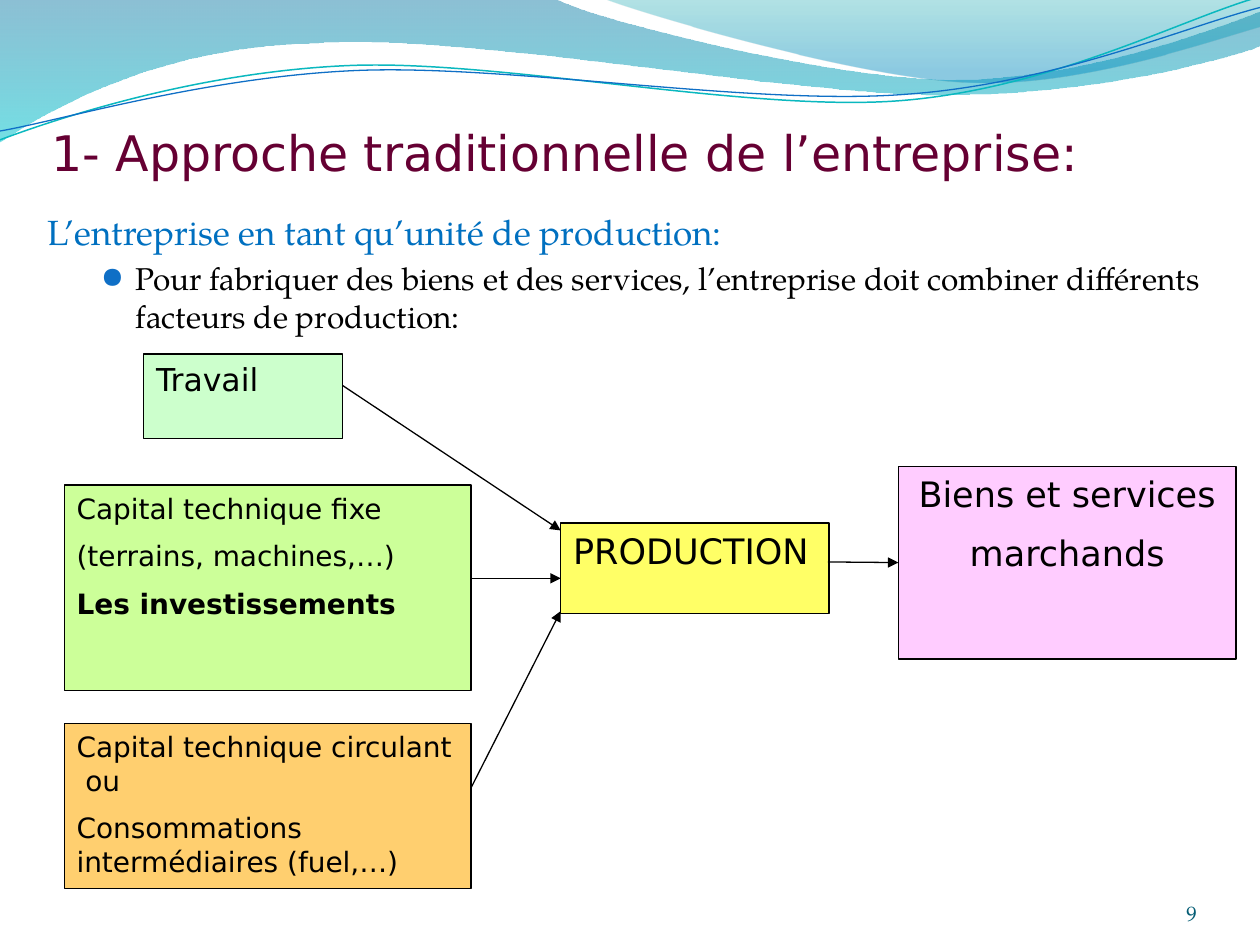
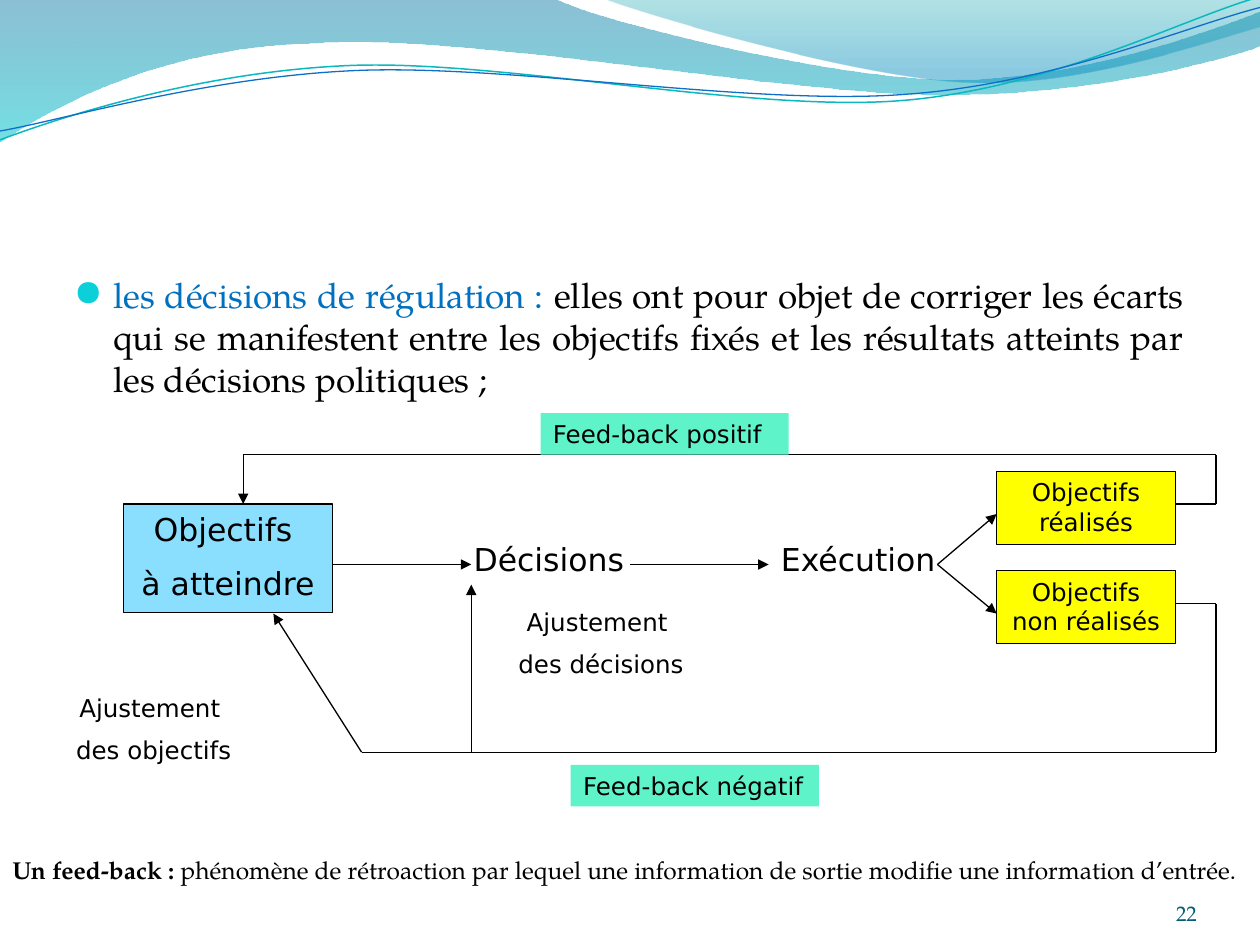
from itertools import pairwise
from math import cos, radians, sin

from lxml import etree
from pptx import Presentation
from pptx.dml.color import RGBColor
from pptx.enum.shapes import MSO_CONNECTOR, MSO_SHAPE
from pptx.enum.text import MSO_ANCHOR, PP_ALIGN
from pptx.oxml.ns import qn
from pptx.util import Inches, Pt

STRAIGHT = MSO_CONNECTOR.STRAIGHT
RECT = MSO_SHAPE.RECTANGLE
TOP, BOTTOM = MSO_ANCHOR.TOP, MSO_ANCHOR.BOTTOM
LEFT, CENTER = PP_ALIGN.LEFT, PP_ALIGN.CENTER
RIGHT, JUSTIFY = PP_ALIGN.RIGHT, PP_ALIGN.JUSTIFY

SANS, SERIF = "DejaVu Sans", "TeX Gyre Pagella"
BLACK, BLUE, PLUM, PAGE = "000000", "0070C0", "660033", "045D75"
MINT, YELLOW = "5FF3CA", "FFFF00"
WAVE_TURN = 2.7

BANDS = [
    ([[(0, 0)],
      [(4.4, -0.01)],
      [(4.76, 0.17), (6.64, 0.63), (7.58, 0.63)],
      [(8.53, 0.63), (9.58, 0.26), (10, 0.09)],
      [(10.01, 0.36)],
      [(9.83, 0.44), (8.7, 0.76), (7.46, 0.75)],
      [(6.22, 0.75), (3.82, 0.28), (2.57, 0.34)],
      [(1.29, 0.36), (0.46, 0.83), (-0.01, 1.13)],
      [(0, 0)]],
     [(0, "0074A1", 45), (1, "00C6CF", 55)]),
    ([[(4.79, -0.01)],
      [(5.09, 0.11), (6.82, 0.62), (7.69, 0.65)],
      [(8.56, 0.69), (9.61, 0.32), (10, 0.21)],
      [(10, 0)],
      [(4.79, -0.01)]],
     [(0, "00A1A9", 30), (0.8, "008BBF", 45)]),
]
WAVES = [
    ([[(0, 1.11)],
      [(0.48, 0.93), (1.58, 0.57), (2.77, 0.52)],
      [(3.95, 0.47), (5.93, 0.89), (7.13, 0.8)],
      [(8.33, 0.71), (9.38, 0.15), (9.98, -0.02)]],
     (4.99, 0.58), "0AB8BF", 0.85),
    ([[(0, 1.04)],
      [(0.47, 0.96), (1.64, 0.61), (2.83, 0.56)],
      [(4.03, 0.51), (5.97, 0.84), (7.17, 0.75)],
      [(8.36, 0.67), (9.41, 0.21), (10, 0.06)]],
     (5, 0.59), "0F6FC6", 0.75),
]


def rgb(value):
    """Turn a hex string into a colour."""
    return RGBColor.from_string(value)


def add_child(parent, tag, **attrs):
    """Append a drawing element with its attributes."""
    return etree.SubElement(parent, qn(tag), {k: str(v) for k, v in attrs.items()})


def set_alphas(sp, alphas):
    """Give the fill colours of a shape their opacity in percent."""
    for clr, alpha in zip(sp._element.spPr.iter(qn("a:srgbClr")), alphas):
        add_child(clr, "a:alpha", val=alpha * 1000)


def turn(segments, center, degrees):
    """Rotate the points of an outline about a centre."""
    (cx, cy), c, s = center, cos(radians(degrees)), sin(radians(degrees))
    return [[(cx + (x - cx) * c - (y - cy) * s, cy + (x - cx) * s + (y - cy) * c)
             for x, y in seg] for seg in segments]


def outline(s, segments, close):
    """Build a freeform of lines and cubic curves given in inches."""
    pts = [(Inches(x), Inches(y)) for seg in segments for x, y in seg]
    builder = s.shapes.build_freeform(*pts[0])
    builder.add_line_segments(pts[1:], close=close)
    sp = builder.convert_to_shape()
    sp.shadow.inherit = False
    lines = iter(list(sp._element.spPr.iter(qn("a:lnTo"))))
    for seg in segments[1:]:
        first, *others = [next(lines) for _ in seg]
        if others:
            first.tag = qn("a:cubicBezTo")
            for line in others:
                first.append(line[0])
                line.getparent().remove(line)
    return sp


def add_header(s):
    """Draw the shaded bands and thin waves along the top."""
    for segments, stops in BANDS:
        sp = outline(s, segments, True)
        sp.line.fill.background()
        sp.fill.gradient()
        sp.fill.gradient_angle = 270
        for stop, (pos, color, _) in zip(sp.fill.gradient_stops, stops):
            stop.position = pos
            stop.color.rgb = rgb(color)
        set_alphas(sp, [alpha for _, _, alpha in stops])
    for segments, center, color, width in WAVES:
        sp = outline(s, turn(segments, center, WAVE_TURN), False)
        sp.rotation = 360 - WAVE_TURN
        sp.fill.background()
        sp.line.color.rgb = rgb(color)
        sp.line.width = Pt(width)


def set_indent(p, left, hanging, bullet=None):
    """Set a hanging indent and an optional (colour, size) bullet."""
    pPr = p._p.get_or_add_pPr()
    pPr.set("marL", str(Inches(left)))
    pPr.set("indent", str(Inches(-hanging)))
    if bullet:
        color, size = bullet
        add_child(add_child(pPr, "a:buClr"), "a:srgbClr", val=color)
        add_child(pPr, "a:buSzPct", val=size * 1000)
        add_child(pPr, "a:buFont", typeface=SERIF)
        add_child(pPr, "a:buChar", char="●")


def add_run(p, text, size, font=SANS, color=BLACK, bold=False):
    """Add a formatted run."""
    r = p.add_run()
    r.text = text
    for name, value in {"name": font, "size": Pt(size), "bold": bold}.items():
        setattr(r.font, name, value)
    r.font.color.rgb = rgb(color)


def set_frame(sp, anchor=TOP, inset=(0.1, 0.05)):
    """Prepare the text frame of a shape."""
    tf = sp.text_frame
    dx, dy = map(Inches, inset)
    frame = {"word_wrap": True, "vertical_anchor": anchor, "margin_left": dx,
             "margin_right": dx, "margin_top": dy, "margin_bottom": dy}
    for name, value in frame.items():
        setattr(tf, name, value)
    return tf


def add_text(s, box, **frame):
    """Add an empty text box and return its frame."""
    return set_frame(s.shapes.add_textbox(*map(Inches, box)), **frame)


def add_lines(tf, lines, size, align=LEFT, **font):
    """Write one paragraph per line, half a line apart."""
    for i, text in enumerate(lines):
        p = tf.add_paragraph() if i else tf.paragraphs[0]
        p.alignment = align
        if i:
            p.space_before = Pt(size / 2)
        add_run(p, text, size, **font)


def add_box(s, box, fill, lines, size, align=LEFT, border=True):
    """Add a filled rectangle with text."""
    sp = s.shapes.add_shape(RECT, *map(Inches, box))
    sp.shadow.inherit = False
    sp.fill.solid()
    sp.fill.fore_color.rgb = rgb(fill)
    if border:
        sp.line.color.rgb = rgb(BLACK)
        sp.line.width = Pt(0.75)
    else:
        sp.line.fill.background()
    add_lines(set_frame(sp), lines, size, align)
    return sp


def add_route(s, left, top, points):
    """Join points with straight lines, ending in an arrowhead."""
    for (x1, y1), (x2, y2) in pairwise(points):
        line = s.shapes.add_connector(STRAIGHT, Inches(left + x1), Inches(top + y1),
                                      Inches(left + x2), Inches(top + y2))
        line.line.color.rgb = rgb(BLACK)
        line.line.width = Pt(0.75)
        add_child(line._element.spPr, "a:effectLst")
    add_child(line.line._get_or_add_ln(), "a:tailEnd", type="triangle")
    return line


def add_page_number(s, number):
    """Write the page number at the bottom right."""
    tf = add_text(s, (8.67, 6.95, 0.83, 0.4), anchor=BOTTOM, inset=(0, 0))
    add_lines(tf, [number], 12, RIGHT, font=SERIF, color=PAGE)


def draw_production(s, left, top):
    """Show the production factors leading to goods and services."""
    def box(x, y, w, h, *rest):
        return add_box(s, (left + x, top + y, w, h), *rest)

    box(3.94, 1.34, 2.13, 0.72, "FFFF66", ["PRODUCTION"], 20)
    box(0.63, 0, 1.58, 0.67, "CCFFCC", ["Travail"], 18)
    fixed = box(0, 1.04, 3.23, 1.63, "CCFF99",
                ["Capital technique fixe", "(terrains, machines,…)", "Les investissements"], 16)
    fixed.text_frame.paragraphs[-1].runs[0].font.bold = True
    working = box(0, 2.93, 3.23, 1.31, "FFCC66",
                  ["Capital technique circulant  ou",
                   "Consommations intermédiaires (fuel,…)"], 16)
    set_alphas(working, [94])
    goods = box(6.62, 0.89, 2.68, 1.53, "FFCCFF",
                ["Biens et services", "marchands"], 20, CENTER)
    for start, end in [((2.21, 0.25), (3.94, 1.4)),
                       ((3.23, 1.78), (3.94, 1.78)),
                       ((3.23, 3.44), (3.94, 2.04))]:
        add_route(s, left, top, [start, end])
    output = add_route(s, left, top, [(6.06, 1.65), (6.62, 1.65)])
    output.end_connect(goods, 1)


def draw_feedback(s, left, top):
    """Show the decision chain with its two feedback loops."""
    add_box(s, (left + 0.55, top + 0.72, 1.66, 0.86), "8ADFFF",
            ["Objectifs ", "à atteindre"], 18, CENTER)
    for x, w, text in [(3.23, 1.42, "Décisions"), (5.67, 1.5, "Exécution")]:
        add_lines(add_text(s, (left + x, top + 0.96, w, 0.4)), [text], 18)
    for y, text in [(0.46, "Objectifs réalisés"), (1.25, "Objectifs non réalisés")]:
        add_box(s, (left + 7.48, top + y, 1.42, 0.58), YELLOW, [text], 14, CENTER)
    axis, bottom, side = 1.2, 2.69, 9.22
    routes = [
        [(2.21, axis), (3.31, axis)],
        [(4.57, axis), (5.67, axis)],
        [(7.01, axis), (7.48, 0.8)],
        [(7.01, axis), (7.48, 1.59)],
        [(8.9, 0.72), (side, 0.72), (side, 0.33), (1.5, 0.33), (1.5, 0.72)],
        [(8.9, 1.51), (side, 1.51), (side, bottom), (2.44, bottom), (1.74, 1.59)],
        [(3.31, bottom), (3.31, 1.36)],
    ]
    for points in routes:
        add_route(s, left, top, points)
    for x, y, text in [(3.86, 0, "Feed-back positif"), (4.1, 2.79, "Feed-back négatif")]:
        add_box(s, (left + x, top + y, 1.97, 0.33), MINT, [text], 14, border=False)
    for x, y, target in [(3.55, 1.49, "des décisions"), (0, 2.17, "des objectifs")]:
        tf = add_text(s, (left + x, top + y, 1.58, 0.68))
        add_lines(tf, ["Ajustement ", target], 14, CENTER)


def production_slide(s):
    """Fill the slide on the firm as a production unit."""
    tf = add_text(s, (0.28, 1.62, 9.72, 5.27))
    p = tf.paragraphs[0]
    set_indent(p, 0.3, 0.3)
    add_run(p, "L’entreprise en tant qu’unité de production:", 20, SERIF, BLUE)
    p = tf.add_paragraph()
    set_indent(p, 0.7, 0.27, ("0F6FC6", 85))
    p.space_before = Pt(4)
    add_run(p, "Pour fabriquer des biens et des services, l’entreprise doit combiner "
               "différents facteurs de production:", 18, SERIF)
    add_lines(add_text(s, (0.31, 0.92, 8.62, 0.57)),
              ["1- Approche traditionnelle de l’entreprise:"], 28, color=PLUM)
    draw_production(s, 0.51, 2.81)


def regulation_slide(s):
    """Fill the slide on regulation decisions."""
    p = add_text(s, (0.5, 2.12, 9, 1.48)).paragraphs[0]
    p.alignment = JUSTIFY
    set_indent(p, 0.3, 0.3, ("0BD0D9", 95))
    add_run(p, "les décisions de régulation : ", 20, SERIF, BLUE)
    add_run(p, "elles ont pour objet de corriger les écarts qui se manifestent entre les "
               "objectifs fixés et les résultats atteints par les décisions politiques ;",
            20, SERIF)
    draw_feedback(s, 0.43, 3.28)
    p = add_text(s, (0, 6.74, 10, 0.64)).paragraphs[0]
    add_run(p, "Un feed-back : ", 14, SERIF, bold=True)
    add_run(p, "phénomène de rétroaction par lequel une information de sortie modifie "
               "une information d’entrée.", 14, SERIF)


def main():
    """Build the presentation."""
    prs = Presentation()
    prs.slide_width, prs.slide_height = Inches(10), Inches(7.5)
    for fill_slide, number in [(production_slide, "9"), (regulation_slide, "22")]:
        s = prs.slides.add_slide(prs.slide_layouts[6])
        add_header(s)
        fill_slide(s)
        add_page_number(s, number)
    prs.save("out.pptx")


if __name__ == "__main__":
    main()
